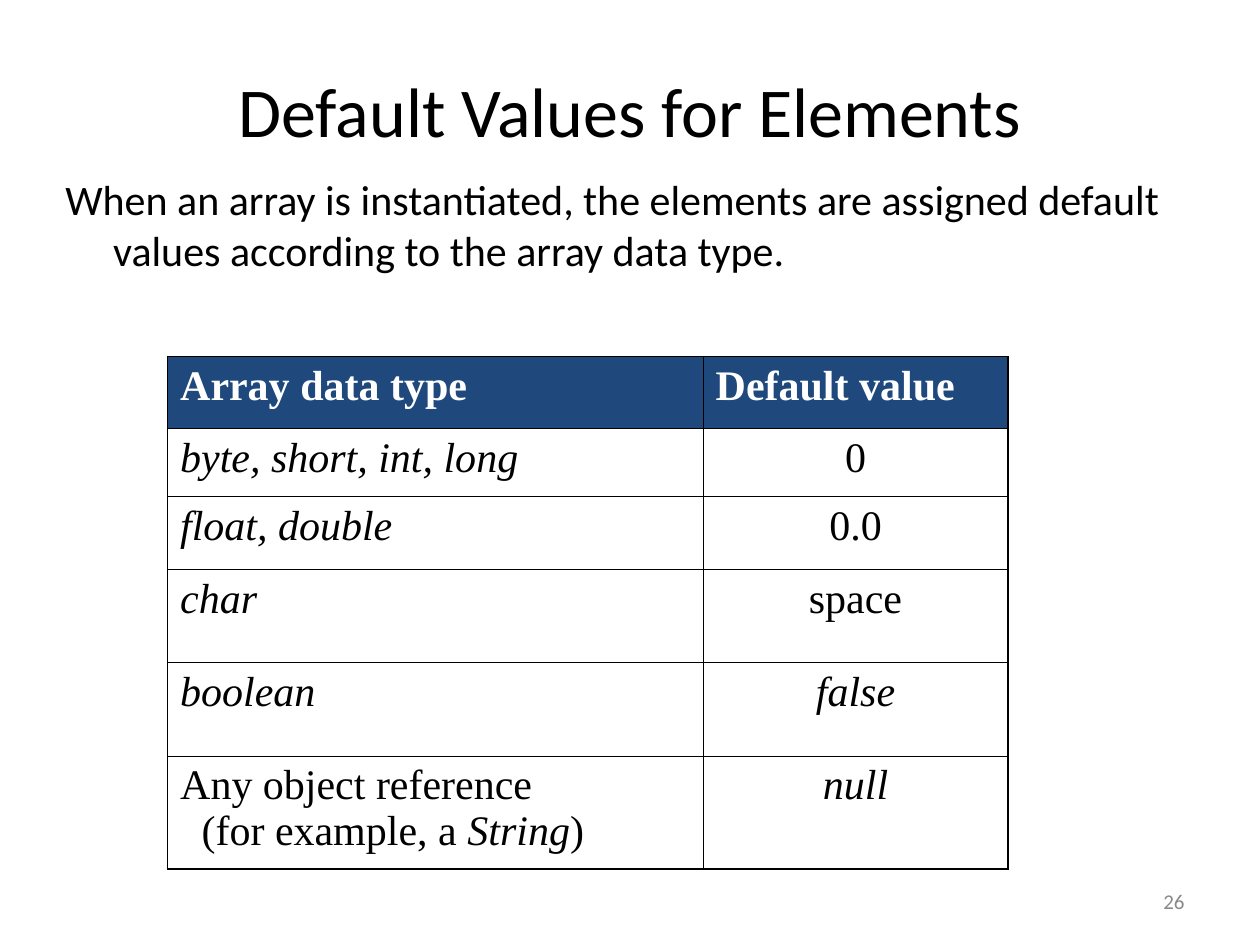
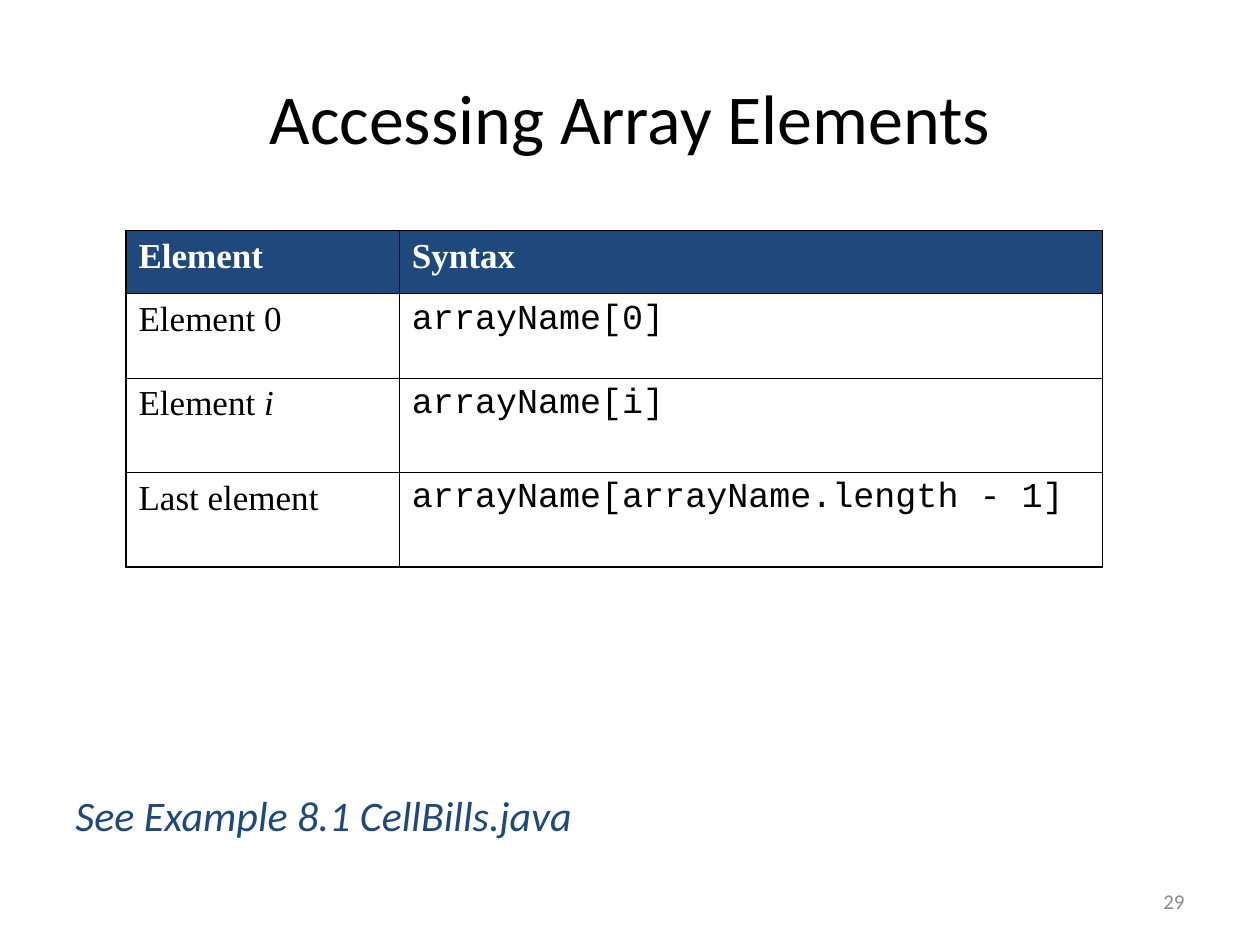
from dataclasses import dataclass

from lxml import etree
from pptx import Presentation
from pptx.dml.color import RGBColor
from pptx.enum.text import MSO_ANCHOR, PP_ALIGN
from pptx.oxml.ns import qn
from pptx.util import Inches, Pt

LEFT, CENTER, RIGHT = PP_ALIGN.LEFT, PP_ALIGN.CENTER, PP_ALIGN.RIGHT
TOP, MIDDLE = MSO_ANCHOR.TOP, MSO_ANCHOR.MIDDLE

BLACK = RGBColor(0x00, 0x00, 0x00)
WHITE = RGBColor(0xFF, 0xFF, 0xFF)
NAVY = RGBColor(0x1F, 0x49, 0x7D)
GRAY = RGBColor(0x89, 0x89, 0x89)

SANS, SERIF, MONO = "Calibri", "Times New Roman", "Courier New"
OUTER_LINE, INNER_LINE = Pt(1.08), Pt(0.45)
LINE_BREAK = "\n"


@dataclass
class Piece:
    """A stretch of table text in one style."""
    text: str
    italic: bool = False
    font: str = SERIF


def italic(text):
    return Piece(text, italic=True)


def code(text):
    return Piece(text, font=MONO)


def style_run(run, font, size, color, bold=False, italic=False):
    run.font.name = font
    run.font.size = Pt(size)
    run.font.color.rgb = color
    run.font.bold = bold
    run.font.italic = italic


def set_hanging_indent(paragraph, indent):
    properties = paragraph._p.get_or_add_pPr()
    properties.set("marL", str(Inches(indent)))
    properties.set("indent", str(-Inches(indent)))


def add_text(slide, text, box, size, color=BLACK, align=LEFT, anchor=TOP,
             italic=False, hanging=0):
    frame = slide.shapes.add_textbox(*map(Inches, box)).text_frame
    frame.word_wrap = True
    frame.vertical_anchor = anchor
    frame.text = text
    paragraph = frame.paragraphs[0]
    paragraph.alignment = align
    if hanging:
        set_hanging_indent(paragraph, hanging)
    style_run(paragraph.runs[0], SANS, size, color, italic=italic)


def add_title(slide, text, box):
    add_text(slide, text, box, 40, align=CENTER, anchor=MIDDLE)


def add_page_number(slide, number):
    add_text(slide, str(number), (7.17, 6.95, 2.33, 0.4), 12, GRAY, RIGHT, MIDDLE)


def set_borders(cell, outer_sides):
    """Draw all four edges, heavier on the sides at the table's rim."""
    properties = cell._tc.get_or_add_tcPr()
    for side in "LRTB":
        width = OUTER_LINE if side in outer_sides else INNER_LINE
        line = etree.SubElement(properties, qn(f"a:ln{side}"), w=str(width))
        fill = etree.SubElement(line, qn("a:solidFill"))
        etree.SubElement(fill, qn("a:srgbClr"), val=str(BLACK))


def fill_cell(cell, pieces, size, align, is_header):
    paragraph = cell.text_frame.paragraphs[0]
    paragraph.alignment = align
    paragraph.space_before = Pt(size / 4)
    for piece in pieces:
        if piece.text == LINE_BREAK:
            paragraph.add_line_break()
            continue
        run = paragraph.add_run()
        run.text = piece.text
        style_run(run, piece.font, size, WHITE if is_header else BLACK,
                  bold=is_header, italic=piece.italic)
    if is_header:
        cell.fill.solid()
        cell.fill.fore_color.rgb = NAVY
    else:
        cell.fill.background()


def add_grid(slide, rows, origin, widths, heights, size, value_align=LEFT):
    """Add a table whose first row is a header; return it."""
    left, top = origin
    table = slide.shapes.add_table(
        len(rows), len(widths), Inches(left), Inches(top),
        Inches(sum(widths)), Inches(sum(heights))).table
    table.first_row = table.horz_banding = False
    for column, width in zip(table.columns, widths):
        column.width = Inches(width)
    for r, (row, height) in enumerate(zip(rows, heights)):
        table.rows[r].height = Inches(height)
        for c, pieces in enumerate(row):
            rim = {"L": c == 0, "R": c == len(widths) - 1,
                   "T": r == 0, "B": r == len(rows) - 1}
            cell = table.cell(r, c)
            set_borders(cell, [side for side, outer in rim.items() if outer])
            align = value_align if r and c else LEFT
            fill_cell(cell, pieces, size, align, is_header=r == 0)
    return table


def build_default_values(slide):
    add_title(slide, "Default Values for Elements", (0.75, 0.58, 8.5, 0.58))
    add_text(slide, "When an array is instantiated, the elements are assigned "
             "default values according to the array data type.",
             (0.42, 1.33, 9.17, 1.2), 24, hanging=0.38)
    rows = [
        ([Piece("Array data type")], [Piece("Default value")]),
        ([italic("byte, short, int, long")], [Piece("0")]),
        ([italic("float, double")], [Piece("0.0")]),
        ([italic("char")], [Piece("space")]),
        ([italic("boolean")], [italic("false")]),
        ([Piece("Any object reference"), Piece(LINE_BREAK),
          Piece("(for example, a "), italic("String"), Piece(")")],
         [italic("null")]),
    ]
    defaults = add_grid(slide, rows, (1.33, 2.83), (4.25, 2.42),
                        (0.57, 0.54, 0.58, 0.74, 0.74, 0.9), 24, CENTER)
    object_reference = defaults.cell(len(rows) - 1, 0)
    set_hanging_indent(object_reference.text_frame.paragraphs[0], 0.17)
    add_page_number(slide, 26)


def build_element_access(slide):
    add_title(slide, "Accessing Array Elements", (0.5, 0.3, 9, 1.25))
    add_text(slide, "See Example 8.1 CellBills.java", (0.5, 6.22, 9, 0.5), 24,
             NAVY, italic=True)
    rows = [
        ([Piece("Element")], [Piece("Syntax")]),
        ([Piece("Element 0")], [code("arrayName[0]")]),
        ([Piece("Element "), italic("i")], [code("arrayName[i]")]),
        ([Piece("Last element")], [code("arrayName[arrayName.length - 1]")]),
    ]
    add_grid(slide, rows, (1, 1.83), (2.17, 5.58), (0.5, 0.67, 0.75, 0.75), 20)
    add_page_number(slide, 29)


def main():
    presentation = Presentation()
    presentation.slide_width = Inches(10)
    presentation.slide_height = Inches(7.5)
    blank = presentation.slide_layouts[6]
    for build in (build_default_values, build_element_access):
        build(presentation.slides.add_slide(blank))
    presentation.save("out.pptx")


if __name__ == "__main__":
    main()
